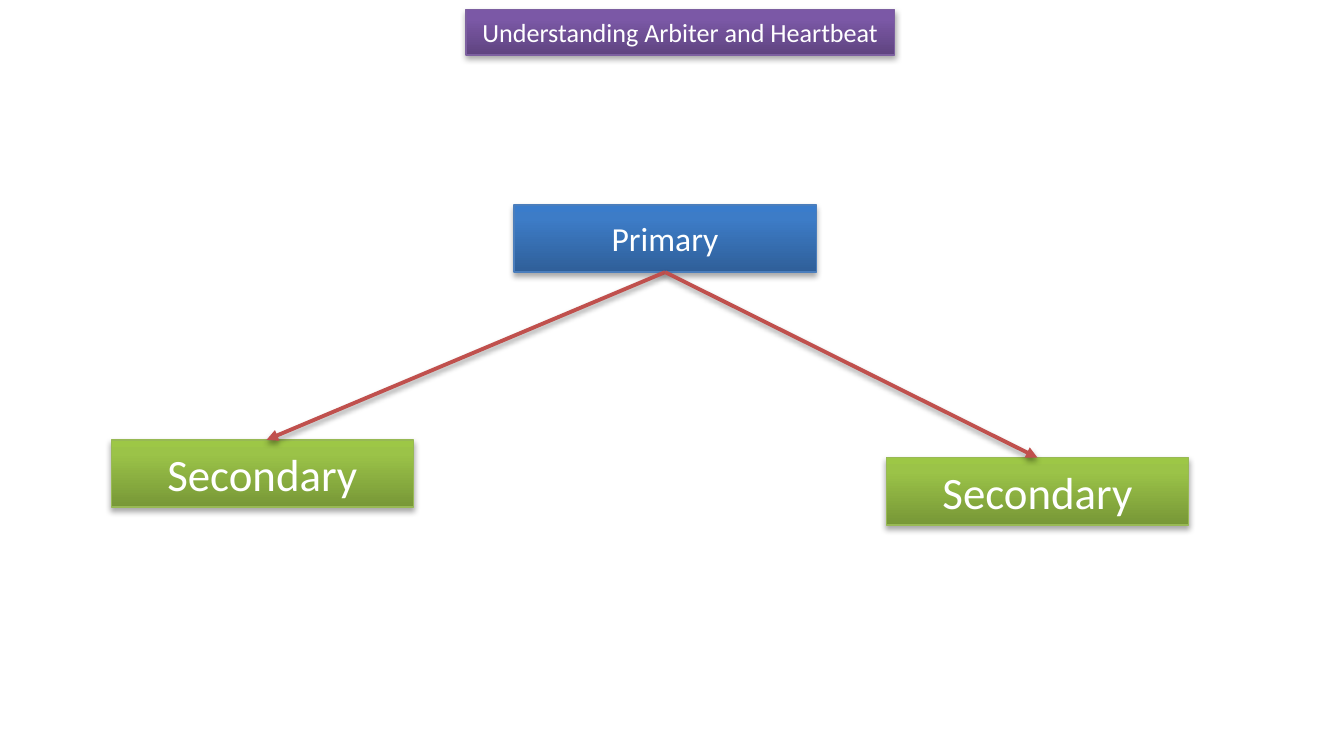
from copy import deepcopy

from lxml.etree import SubElement
from pptx import Presentation
from pptx.dml.color import RGBColor
from pptx.enum.shapes import MSO_CONNECTOR, MSO_SHAPE
from pptx.enum.text import MSO_ANCHOR, MSO_AUTO_SIZE, PP_ALIGN
from pptx.oxml.ns import qn
from pptx.util import Inches, Pt

WHITE = RGBColor(0xFF, 0xFF, 0xFF)
RED = RGBColor(0xC0, 0x50, 0x4D)
PURPLE_LINE = RGBColor(0x7D, 0x60, 0xA0)
BLUE_LINE = RGBColor(0x4B, 0x7E, 0xBC)
GREEN_LINE = RGBColor(0x98, 0xB9, 0x55)
PURPLES = (RGBColor(0x5F, 0x44, 0x80), RGBColor(0x7B, 0x58, 0xA6), RGBColor(0x7C, 0x57, 0xA8))
BLUES = (RGBColor(0x2F, 0x5F, 0x99), RGBColor(0x3D, 0x7C, 0xC7), RGBColor(0x3A, 0x7C, 0xCB))
GREENS = (RGBColor(0x77, 0x97, 0x37), RGBColor(0x9B, 0xC3, 0x48), RGBColor(0x9D, 0xC7, 0x46))
STOP_POSITIONS = (0, 0.8, 1)
NODE_WIDTH, NODE_HEIGHT = 2.2, 0.49


def write_text(shape, text, size, wrap=True):
    """Write one centred white line in the shape."""
    frame = shape.text_frame
    frame.auto_size = MSO_AUTO_SIZE.NONE
    frame.word_wrap = wrap
    frame.vertical_anchor = MSO_ANCHOR.MIDDLE
    frame.margin_left = frame.margin_right = Inches(0.1)
    frame.margin_top = frame.margin_bottom = Inches(0.05)
    paragraph = frame.paragraphs[0]
    paragraph.alignment = PP_ALIGN.CENTER
    run = paragraph.add_run()
    run.text = text
    run.font.name = "Calibri"
    run.font.size = Pt(size)
    run.font.color.rgb = WHITE


def add_shadow(shape, distance, opacity):
    """Give a shape or connector a soft shadow below it."""
    effects = SubElement(shape.element.spPr, qn("a:effectLst"))
    shadow = SubElement(effects, qn("a:outerShdw"), blurRad=str(Pt(3.1)),
                        dist=str(Pt(distance)), dir="5400000", rotWithShape="0")
    color = SubElement(shadow, qn("a:srgbClr"), val="000000")
    SubElement(color, qn("a:alpha"), val=str(opacity * 1000))


def style_box(shape, colors, line_color):
    """Apply the vertical gradient, outline and shadow of a box."""
    shape.fill.gradient()
    shape.fill.gradient_angle = 90
    stop_list = shape.element.spPr.find(".//" + qn("a:gsLst"))
    stop_list.append(deepcopy(stop_list[-1]))
    for stop, position, color in zip(shape.fill.gradient_stops, STOP_POSITIONS, colors):
        stop.position = position
        stop.color.rgb = color
    shape.line.color.rgb = line_color
    shape.line.width = Pt(0.75)
    add_shadow(shape, 1.8, 35)


def place_title(slide, left, top, width, height):
    """Place the slide title in its purple box."""
    title = slide.shapes.title
    title.left, title.top = Inches(left), Inches(top)
    title.width, title.height = Inches(width), Inches(height)
    style_box(title, PURPLES, PURPLE_LINE)
    write_text(title, "Understanding Arbiter and Heartbeat", 13.7, wrap=False)


def add_node(slide, left, top, text, size, colors, line_color):
    """Add one server box and return it."""
    node = slide.shapes.add_shape(MSO_SHAPE.RECTANGLE, Inches(left), Inches(top),
                                  Inches(NODE_WIDTH), Inches(NODE_HEIGHT))
    style_box(node, colors, line_color)
    write_text(node, text, size)
    return node


def add_arrow(slide, source, end_x, end_y):
    """Add a red arrow from the bottom of the source to a point."""
    arrow = slide.shapes.add_connector(MSO_CONNECTOR.STRAIGHT, 0, 0,
                                       Inches(end_x), Inches(end_y))
    arrow.begin_connect(source, 2)
    arrow.line.color.rgb = RED
    arrow.line.width = Pt(2)
    SubElement(arrow.element.spPr.find(qn("a:ln")), qn("a:tailEnd"), type="triangle")
    add_shadow(arrow, 1.6, 38)


def add_replica_set(slide, left, top):
    """Add the primary, its two secondaries and the arrows between them."""
    primary = add_node(slide, left + 2.93, top, "Primary", 17.6, BLUES, BLUE_LINE)
    secondaries = ((0, 1.71, 1.13), (5.64, 1.84, 1.1))
    for offset_x, offset_y, _ in secondaries:
        add_node(slide, left + offset_x, top + offset_y, "Secondary", 23.5, GREENS, GREEN_LINE)
    for offset_x, offset_y, tip_x in secondaries:
        add_arrow(slide, primary, left + offset_x + tip_x, top + offset_y)


def main():
    """Build and save the presentation."""
    presentation = Presentation()
    presentation.slide_width = Inches(9.78)
    presentation.slide_height = Inches(5.5)
    slide = presentation.slides.add_slide(presentation.slide_layouts[5])
    place_title(slide, 3.39, 0.07, 3.12, 0.33)
    add_replica_set(slide, 0.81, 1.49)
    presentation.save("out.pptx")


if __name__ == "__main__":
    main()
